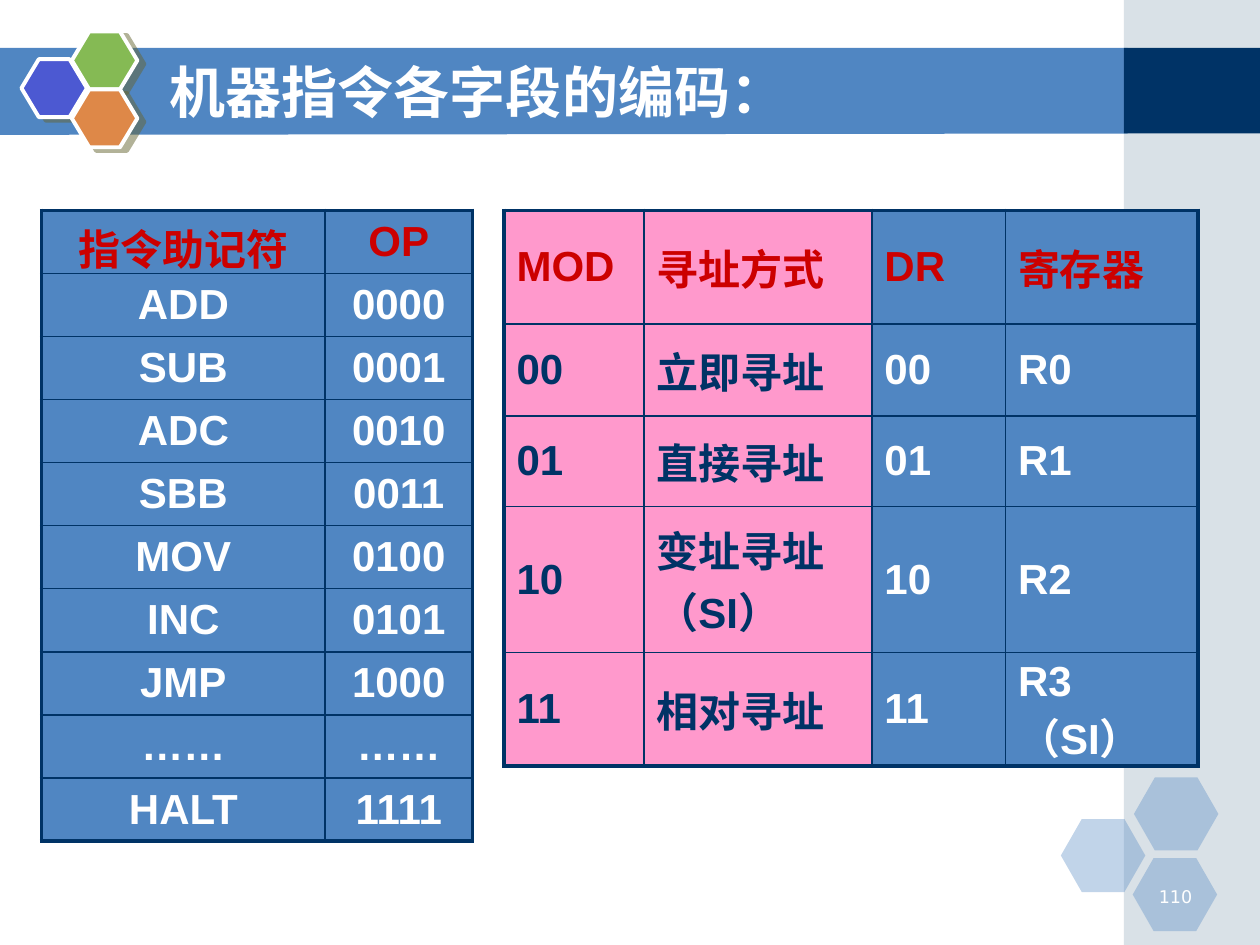
from dataclasses import dataclass

from lxml.etree import SubElement as Sub
from pptx import Presentation
from pptx.dml.color import RGBColor as Rgb
from pptx.enum.shapes import MSO_SHAPE as Kind
from pptx.enum.text import MSO_ANCHOR as Anchor, PP_ALIGN as Align
from pptx.oxml.ns import qn
from pptx.util import Inches, Pt

HUES = {
    "blue": "5086C2", "navy": "003366", "mist": "A0B5C4", "white": "FFFFFF",
    "pink": "FF99CC", "red": "CC0000", "indigo": "4C59D2", "green": "85BA54",
    "orange": "DE8848", "shade": "666633",
}
ARIAL, SANS, HAN = "Arial", "DejaVu Sans", "Noto Sans CJK SC"
THIN, THICK = 1, 2.25


@dataclass
class Block:
    kind: Kind
    left: float
    top: float
    width: float
    height: float
    hue: str
    alpha: int = 100
    slant: float = 0
    logo: bool = False


@dataclass
class Column:
    width: float
    fill: str
    ink: str
    texts: list[str]


@dataclass
class Grid:
    left: float
    top: float
    heights: list[float]
    columns: list[Column]
    align: Align


def hue(name: str) -> Rgb:
    return Rgb.from_string(HUES[name])


def tint(parent, name: str, alpha: int = 100) -> None:
    """Add a colour element, see-through when alpha is below 100."""
    color = Sub(parent, qn("a:srgbClr"), val=HUES[name])
    if alpha < 100:
        Sub(color, qn("a:alpha"), val=str(alpha * 1000))


def cast(shape) -> None:
    """Give the shape a hard drop shadow."""
    effects = Sub(shape._element.spPr, qn("a:effectLst"))
    shadow = Sub(effects, qn("a:outerShdw"), blurRad="0", dist=str(Pt(4.5)),
                 dir=str(27 * 60000), algn="ctr", rotWithShape="0")
    tint(shadow, "shade", 50)


def draw(shapes, block: Block) -> None:
    shape = shapes.add_shape(block.kind, Inches(block.left), Inches(block.top),
                             Inches(block.width), Inches(block.height))
    if block.slant:
        shape.adjustments[0] = block.slant
    shape.fill.solid()
    shape.fill.fore_color.rgb = hue(block.hue)
    if block.alpha < 100:
        color = shape._element.spPr.find(qn("a:solidFill"))[0]
        Sub(color, qn("a:alpha"), val=str(block.alpha * 1000))
    if block.logo:
        shape.line.color.rgb = hue("white")
        shape.line.width = Pt(THICK)
        cast(shape)
    else:
        shape.line.fill.background()
        shape.shadow.inherit = False


def write(frame, text: str, size: int, font: str, ink: str,
          bold: bool, align: Align) -> None:
    para = frame.paragraphs[0]
    para.alignment = align
    run = para.add_run()
    run.text = text
    run.font.size = Pt(size)
    run.font.name = font
    run.font.bold = bold
    run.font.color.rgb = hue(ink)
    Sub(run._r.get_or_add_rPr(), qn("a:ea"), typeface=HAN)


def label(shapes, left: float, top: float, width: float, height: float,
          text: str, size: int, font: str, bold: bool, align: Align,
          anchor: Anchor) -> None:
    box = shapes.add_textbox(Inches(left), Inches(top),
                             Inches(width), Inches(height))
    box.text_frame.word_wrap = True
    box.text_frame.vertical_anchor = anchor
    write(box.text_frame, text, size, font, "white", bold, align)


def edge(cell, outer: dict[str, bool]) -> None:
    """Draw the four borders, thick on the outer sides."""
    props = cell._tc.get_or_add_tcPr()
    for spot, (side, thick) in enumerate(outer.items()):
        line = Sub(props, qn(f"a:ln{side}"), w=str(Pt(THICK if thick else THIN)))
        tint(Sub(line, qn("a:solidFill")), "navy")
        props.insert(spot, line)


def tabulate(shapes, grid: Grid) -> None:
    rows, cols = len(grid.heights), len(grid.columns)
    width = sum(column.width for column in grid.columns)
    table = shapes.add_table(rows, cols, Inches(grid.left), Inches(grid.top),
                             Inches(width), Inches(sum(grid.heights))).table
    table.first_row = table.horz_banding = False
    for row, height in enumerate(grid.heights):
        table.rows[row].height = Inches(height)
    for col, column in enumerate(grid.columns):
        table.columns[col].width = Inches(column.width)
        for row, text in enumerate(column.texts):
            cell = table.cell(row, col)
            cell.vertical_anchor = Anchor.MIDDLE
            cell.fill.solid()
            cell.fill.fore_color.rgb = hue(column.fill)
            edge(cell, {"L": col == 0, "R": col == cols - 1,
                        "T": row == 0, "B": row == rows - 1})
            write(cell.text_frame, text, 24, ARIAL,
                  column.ink if row else "red", True, grid.align)


def band(shapes) -> None:
    path = shapes.build_freeform(Inches(-0.01), Inches(0.38))
    path.add_line_segments([(Inches(x), Inches(y)) for x, y in
                            [(8.95, 0.38), (8.95, 1.06), (-0.01, 1.07)]])
    shape = path.convert_to_shape()
    shape.fill.solid()
    shape.fill.fore_color.rgb = hue("blue")
    shape.line.fill.background()
    shape.shadow.inherit = False


SIDE = [
    Block(Kind.RECTANGLE, 8.92, 0, 1.08, 7.5, "mist", 40),
    Block(Kind.RECTANGLE, 8.92, 0.38, 1.08, 0.68, "navy"),
]
COMB = [Block(Kind.HEXAGON, x, y, 0.67, 0.58, "blue", 35, 0.286)
        for x, y in [(8.42, 6.5), (9, 6.17), (8.99, 6.81)]]
LOGO = [Block(Kind.HEXAGON, x, y, 0.52, 0.46, name, slant=0.3, logo=True)
        for x, y, name in [(0.17, 0.47, "indigo"), (0.57, 0.25, "green"),
                           (0.57, 0.71, "orange")]]

CODES = ["00", "01", "10", "11"]
MODES = Grid(4, 1.67, [0.9, 0.73, 0.72, 1.16, 0.64], [
    Column(1.11, "pink", "navy", ["MOD", *CODES]),
    Column(1.81, "pink", "navy",
           ["寻址方式", "立即寻址", "直接寻址", "变址寻址（SI）", "相对寻址"]),
    Column(1.06, "blue", "white", ["DR", *CODES]),
    Column(1.53, "blue", "white", ["寄存器", "R0", "R1", "R2", "R3（SI）"]),
], Align.LEFT)
OPS = Grid(0.33, 1.67, [0.42] + [0.43] * 9, [
    Column(2.25, "blue", "white",
           ["指令助记符", "ADD", "SUB", "ADC", "SBB", "MOV", "INC", "JMP",
            "……", "HALT"]),
    Column(1.17, "blue", "white",
           ["OP", "0000", "0001", "0010", "0011", "0100", "0101", "1000",
            "……", "1111"]),
], Align.CENTER)


def main() -> None:
    deck = Presentation()
    deck.slide_width, deck.slide_height = Inches(10), Inches(7.5)
    shapes = deck.slides.add_slide(deck.slide_layouts[6]).shapes
    band(shapes)
    for block in SIDE + COMB:
        draw(shapes, block)
    group = shapes.add_group_shape()
    for block in LOGO:
        draw(group.shapes, block)
    label(shapes, 9.06, 6.98, 0.5, 0.25, "110", 10, SANS, False,
          Align.RIGHT, Anchor.TOP)
    label(shapes, 1.25, 0.56, 7.33, 0.33, "机器指令各字段的编码：", 32, HAN,
          True, Align.LEFT, Anchor.MIDDLE)
    for grid in (MODES, OPS):
        tabulate(shapes, grid)
    deck.save("out.pptx")


if __name__ == "__main__":
    main()
